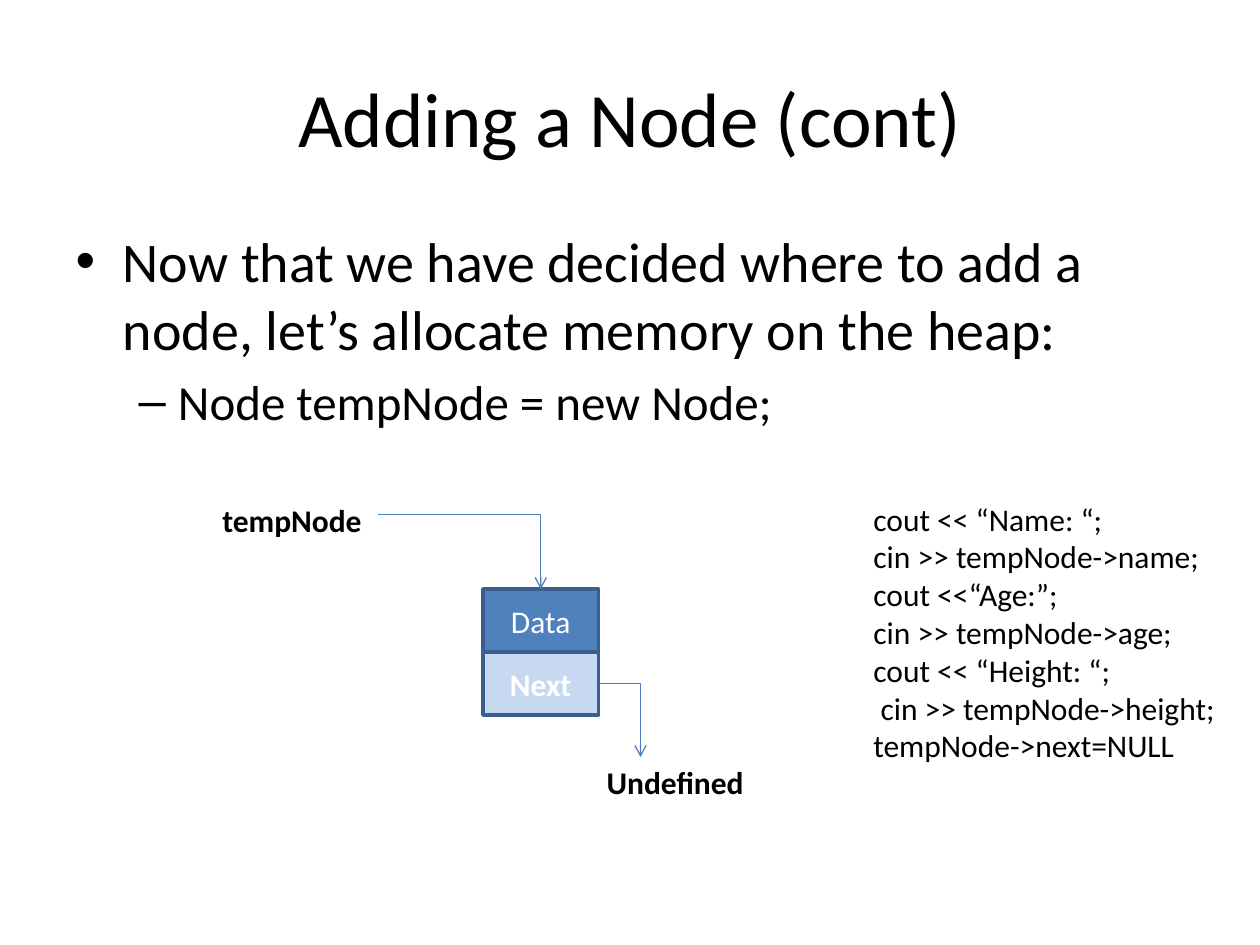
from dataclasses import dataclass

from lxml.etree import SubElement
from pptx import Presentation
from pptx.dml.color import RGBColor as Rgb
from pptx.enum.shapes import MSO_CONNECTOR as Link, MSO_SHAPE as Form
from pptx.enum.text import MSO_ANCHOR as Anchor, MSO_AUTO_SIZE as Fit, PP_ALIGN as Align
from pptx.oxml.ns import qn
from pptx.util import Inches, Pt


@dataclass(frozen=True)
class Theme:
    font: str = "Calibri"
    ink: str = "000000"
    white: str = "FFFFFF"
    blue: str = "4F81BD"
    pale: str = "C6D9F1"
    edge: str = "3A5F8C"
    wire: str = "4B7EBC"
    head: int = 44
    list: tuple = (32, 28)
    note: int = 18
    border: float = 2
    thin: float = 0.75


class Board:
    """The current slide, its style and a grid of 120 columns by 90 rows."""

    cols, rows = 120, 90

    def __init__(self, theme):
        self.theme = theme
        self.deck = Presentation()
        self.deck.slide_width, self.deck.slide_height = Inches(10), Inches(7.5)
        self.slide = self.deck.slides.add_slide(self.deck.slide_layouts[1])
        self.shapes = self.slide.shapes

    def spot(self, x, y):
        return (round(self.deck.slide_width * x / self.cols),
                round(self.deck.slide_height * y / self.rows))

    def place(self, shape, x, y, w, h):
        shape.left, shape.top = self.spot(x, y)
        shape.width, shape.height = self.spot(w, h)

    def style(self, para, size, color, bold=False):
        for run in para.runs:
            font = run.font
            font.name, font.size, font.bold = self.theme.font, Pt(size), bold
            font.color.rgb = Rgb.from_string(color)

    def title(self, text, *area):
        shape = self.shapes.title
        self.place(shape, *area)
        frame = shape.text_frame
        frame.text = text
        frame.vertical_anchor = Anchor.MIDDLE
        frame.paragraphs[0].alignment = Align.CENTER
        self.style(frame.paragraphs[0], self.theme.head, self.theme.ink)

    def list(self, items, *area):
        shape = self.slide.placeholders[1]
        self.place(shape, *area)
        frame = shape.text_frame
        frame.text = "\n".join(text for _, text in items)
        frame.auto_size = Fit.NONE
        for para, (level, _) in zip(frame.paragraphs, items):
            para.level = level
            self.style(para, self.theme.list[level], self.theme.ink)

    def cell(self, text, fill, bold, *area):
        x, y, w, h = area
        box = self.shapes.add_shape(Form.RECTANGLE, *self.spot(x, y), *self.spot(w, h))
        box.shadow.inherit = False
        box.fill.solid()
        box.fill.fore_color.rgb = Rgb.from_string(fill)
        box.line.color.rgb = Rgb.from_string(self.theme.edge)
        box.line.width = Pt(self.theme.border)
        frame = box.text_frame
        frame.text = text
        frame.vertical_anchor = Anchor.MIDDLE
        frame.paragraphs[0].alignment = Align.CENTER
        self.style(frame.paragraphs[0], self.theme.note, self.theme.white, bold)

    def note(self, text, bold, *area):
        x, y, w, h = area
        box = self.shapes.add_textbox(*self.spot(x, y), *self.spot(w, h))
        frame = box.text_frame
        frame.text = text
        frame.word_wrap = False
        frame.auto_size = Fit.SHAPE_TO_FIT_TEXT
        for para in frame.paragraphs:
            self.style(para, self.theme.note, self.theme.ink, bold)

    def arrow(self, start, end):
        """Run across from start, then turn once down to end."""
        wire = self.shapes.add_connector(Link.ELBOW, *self.spot(*start), *self.spot(*end))
        wire.line.color.rgb = Rgb.from_string(self.theme.wire)
        wire.line.width = Pt(self.theme.thin)
        props = wire._element.spPr
        props.find(qn("a:prstGeom")).set("prst", "bentConnector2")
        SubElement(props.find(qn("a:ln")), qn("a:tailEnd"), type="arrow")
        SubElement(props, qn("a:effectLst"))


def main():
    theme = Theme()
    board = Board(theme)

    # Heading and list
    board.title("Adding a Node (cont)", 6, 3.6, 108, 15)
    board.list([
        (0, "Now that we have decided where to add a node, "
            "let’s allocate memory on the heap:"),
        (1, "Node tempNode = new Node;"),
    ], 6, 21, 108, 23)

    # Node with its two fields
    left, top, wide, high = 46, 56.1, 11, 6
    fields = [("Data", theme.blue, False), ("Next", theme.pale, True)]
    for i, (name, fill, bold) in enumerate(fields):
        board.cell(name, fill, bold, left, top + i * high, wide, high)

    # Pointers and their labels
    foot = 72.1
    board.arrow((left + wide, top + 1.5 * high), (61, foot))
    board.note("Undefined", True, 56.6, foot, 15.6, 4.8)
    board.note("tempNode", True, 20, 47.1, 15.8, 4.8)
    board.arrow((36, 49), (left + wide / 2, top))

    # Code that fills the node
    code = [
        "cout << “Name: “;",
        "cin >> tempNode->name;",
        "cout <<“Age:”;",
        "cin >> tempNode->age;",
        "cout << “Height: “;",
        " cin >> tempNode->height;",
        "tempNode->next=NULL",
    ]
    board.note("\n".join(code), False, 82, 47, 35.4, 26.6)

    board.deck.save("out.pptx")


if __name__ == "__main__":
    main()
